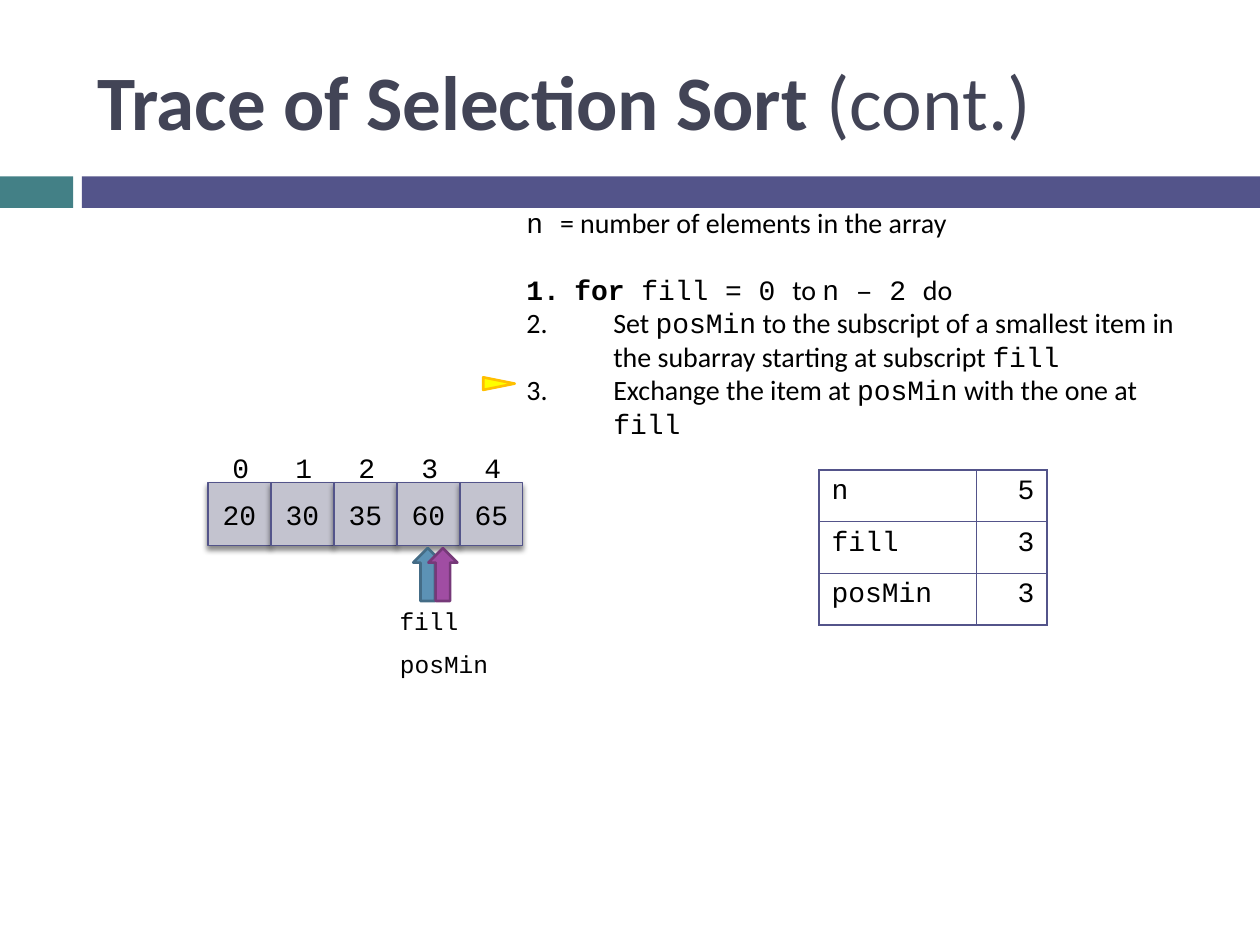
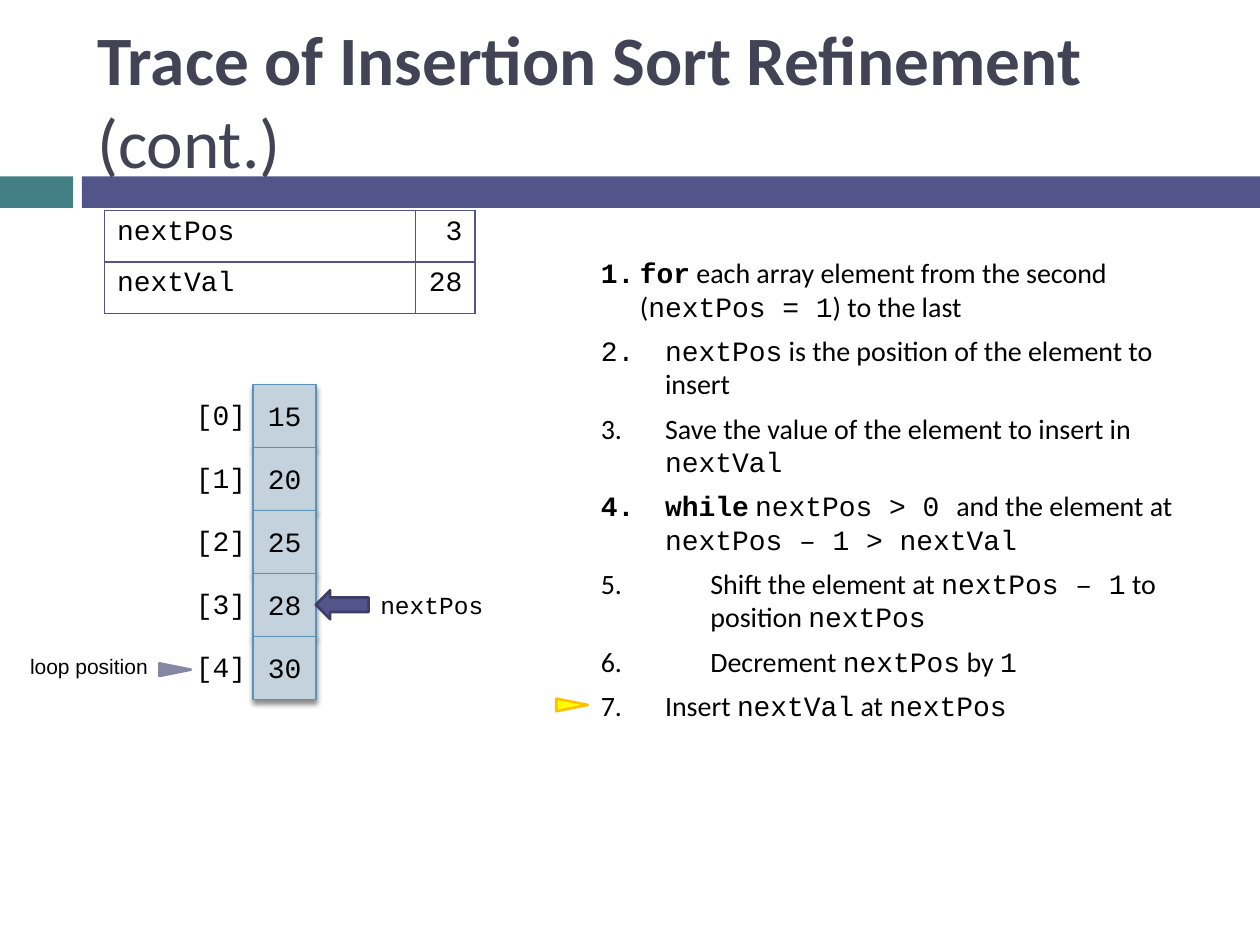
from lxml import etree
from pptx import Presentation
from pptx.dml.color import RGBColor
from pptx.enum.shapes import MSO_SHAPE
from pptx.enum.text import MSO_ANCHOR, MSO_AUTO_SIZE, PP_ALIGN
from pptx.oxml import parse_xml
from pptx.oxml.ns import nsdecls, qn
from pptx.util import Inches, Pt

INK, TITLE, INDIGO, TEAL = "000000", "424456", "53548A", "438086"
STEEL, PLUM, SLATE = "5C92B5", "A04DA3", "8588A2"
BODY, CODE = "Calibri", "Courier New"
KEYWORDS = ("for", "while")
CELL = 0.5


def rgb(value):
    return RGBColor.from_string(value)


def apply(target, **values):
    for name, value in values.items():
        setattr(target, name, value)


class Deck:
    """Hold the shared style and the slide being built."""

    def __init__(self):
        self.prs = Presentation()
        apply(self.prs, slide_width=Inches(10), slide_height=Inches(7.5))
        self.layout = self.prs.slide_layouts[5]

    def slide(self, title, size):
        self.s = self.prs.slides.add_slide(self.layout)
        sp = self.s.shapes.title
        apply(sp, left=Inches(0.67), top=Inches(0.25), width=Inches(8.92), height=Inches(1.08))
        tf = sp.text_frame
        apply(tf, word_wrap=True, auto_size=MSO_AUTO_SIZE.NONE, vertical_anchor=MSO_ANCHOR.MIDDLE)
        p = tf.paragraphs[0]
        p.alignment = PP_ALIGN.LEFT
        self.run(p, title + " ", BODY, size, TITLE, True)
        self.run(p, "(cont.)", BODY, size, TITLE)

    def layout_band(self, left, width, fill):
        sp = self.shape(MSO_SHAPE.RECTANGLE, left, 1.4, width, 0.25, fill)
        self.layout.shapes.element.insert(2, sp.element)

    def run(self, p, text, font=CODE, size=16, color=INK, bold=False):
        r = p.add_run()
        r.text = text
        apply(r.font, name=font, size=Pt(size), bold=bold)
        r.font.color.rgb = rgb(color)

    def shape(self, kind, left, top, width, height, fill, line=None, weight=1.5, rotation=0):
        sp = self.s.shapes.add_shape(kind, *map(Inches, (left, top, width, height)))
        apply(sp, rotation=rotation)
        sp.shadow.inherit = False
        sp.fill.solid()
        sp.fill.fore_color.rgb = rgb(fill)
        if line:
            sp.line.color.rgb = rgb(line)
            sp.line.width = Pt(weight)
        else:
            sp.line.fill.background()
        return sp

    def text(self, text, left, top, width, height, align=PP_ALIGN.CENTER, **font):
        tf = self.s.shapes.add_textbox(*map(Inches, (left, top, width, height))).text_frame
        tf.word_wrap = True
        p = tf.paragraphs[0]
        p.alignment = align
        self.run(p, text, **font)

    def array_cell(self, value, left, top, fill, line):
        sp = self.shape(MSO_SHAPE.RECTANGLE, left, top, CELL, CELL, fill, line, 0.79)
        effects = sp.element.spPr.find(qn("a:effectLst"))
        effects.append(parse_xml(
            f'<a:outerShdw {nsdecls("a")} blurRad="{Pt(3)}" dist="{Pt(2.4)}" dir="5400000" '
            'rotWithShape="0"><a:srgbClr val="000000"><a:alpha val="45000"/>'
            '</a:srgbClr></a:outerShdw>'))
        tf = sp.text_frame
        apply(tf, word_wrap=False, vertical_anchor=MSO_ANCHOR.MIDDLE)
        p = tf.paragraphs[0]
        p.alignment = PP_ALIGN.CENTER
        self.run(p, value)

    def pointer(self, left, top, fill="FFFF00", line="FFC000"):
        self.shape(MSO_SHAPE.ISOSCELES_TRIANGLE, left, top, 0.1, 0.25, fill, line, rotation=90)

    def block_arrow(self, left, top, fill, line, rotation):
        self.shape(MSO_SHAPE.DOWN_ARROW, left, top, 0.23, 0.42, fill, line, rotation=rotation)

    def algorithm(self, steps, left, top, width, height, intro=None, after=0):
        tf = self.s.shapes.add_textbox(*map(Inches, (left, top, width, height))).text_frame
        tf.word_wrap = True
        lines = [(0, intro)] * bool(intro) + steps
        for i, (indent, line) in enumerate(lines):
            p = tf.add_paragraph() if i else tf.paragraphs[0]
            if indent:
                pPr = p._p.get_or_add_pPr()
                pPr.set("marL", str(Inches(indent)))
                pPr.set("indent", str(-Inches(indent)))
                etree.SubElement(pPr, qn("a:buAutoNum"), type="arabicPeriod")
            p.space_after = Pt(after)
            if intro and i == 1:
                p.space_before = Pt(19)
            for n, part in enumerate(line.split("`")):
                if part:
                    self.run(p, part, CODE if n % 2 else BODY, bold=part in KEYWORDS)

    def variables(self, rows, left, top, widths):
        height = 0.41
        frame = self.s.shapes.add_table(
            len(rows), 2, *map(Inches, (left, top, sum(widths), height * len(rows))))
        table = frame.table
        apply(table, first_row=False, horz_banding=False)
        for column, width in zip(table.columns, widths):
            column.width = Inches(width)
        for row, values in zip(table.rows, rows):
            row.height = Inches(height)
            for cell, value, align in zip(row.cells, values, (PP_ALIGN.LEFT, PP_ALIGN.RIGHT)):
                cell.fill.background()
                p = cell.text_frame.paragraphs[0]
                p.alignment = align
                self.run(p, value)
                tcPr = cell._tc.get_or_add_tcPr()
                for i, side in enumerate("LRTB"):
                    tcPr.insert(i, parse_xml(
                        f'<a:ln{side} {nsdecls("a")} w="{Pt(1)}"><a:solidFill>'
                        f'<a:srgbClr val="{INDIGO}"/></a:solidFill></a:ln{side}>'))


def selection_sort(deck):
    deck.slide("Trace of Selection Sort", 44)
    deck.layout_band(0, 0.58, TEAL)
    deck.layout_band(0.65, 9.35, INDIGO)
    deck.algorithm([
        (0.38, "`for`` fill = 0 `to `n – 2 `do"),
        (0.69, "Set `posMin` to the subscript of a smallest item in the subarray "
               "starting at subscript `fill`"),
        (0.69, "Exchange the item at `posMin` with the one at `fill`"),
    ], 4.08, 1.58, 5.58, 1.72, intro="`n `= number of elements in the array")
    for i, value in enumerate(("20", "30", "35", "60", "65")):
        left = 1.65 + i * CELL
        deck.array_cell(value, left, 3.83, "C3C3CF", INDIGO)
        deck.text(str(i), left + 0.02, 3.53, 0.48, 0.37)
    deck.variables([("n", "5"), ("fill", "3"), ("posMin", "3")], 6.5, 3.73, (1.25, 0.56))
    for name, left, label_top, fill, line in (
            ("fill", 3.28, 4.76, STEEL, "446C86"), ("posMin", 3.4, 5.1, PLUM, "763979")):
        deck.block_arrow(left, 4.35, fill, line, 180)
        deck.text(name, left - 0.41, label_top, 1.07, 0.34, size=14)
    deck.pointer(3.91, 2.92)


def insertion_sort(deck):
    deck.slide("Trace of Insertion Sort Refinement", 39.6)
    deck.algorithm([
        (0.31, "`for` each array element from the second (`nextPos = 1`) to the last"),
        (0.51, "`nextPos` is the position of the element to insert"),
        (0.51, "Save the value of the element to insert in `nextVal`"),
        (0.51, "`while` `nextPos > 0 `and the element at `nextPos – 1 > nextVal`"),
        (0.87, "Shift the element at `nextPos – 1` to position `nextPos`"),
        (0.87, "Decrement `nextPos` by `1`"),
        (0.51, "Insert `nextVal` at `nextPos`"),
    ], 4.67, 1.98, 4.75, 4.19, after=6)
    for i, value in enumerate(("15", "20", "25", "28", "30")):
        top = 3.05 + i * CELL
        deck.array_cell(value, 2.01, top, "C4D2DE", STEEL)
        deck.text(f"[{i}]", 1.39, top + 0.06, 0.73, 0.37)
    deck.variables([("nextPos", "3"), ("nextVal", "28")], 0.83, 1.67, (2.47, 0.47))
    deck.pointer(4.49, 5.47)
    deck.pointer(1.34, 5.19, SLATE, SLATE)
    deck.text("loop position", 0.14, 5.14, 1.3, 0.3, PP_ALIGN.LEFT, font="Arial", size=12)
    deck.block_arrow(2.6, 4.59, INDIGO, "3D3E66", 90)
    deck.text("nextPos", 2.92, 4.63, 1.07, 0.34, PP_ALIGN.LEFT, size=14)


def main():
    deck = Deck()
    selection_sort(deck)
    insertion_sort(deck)
    deck.prs.save("out.pptx")


if __name__ == "__main__":
    main()
